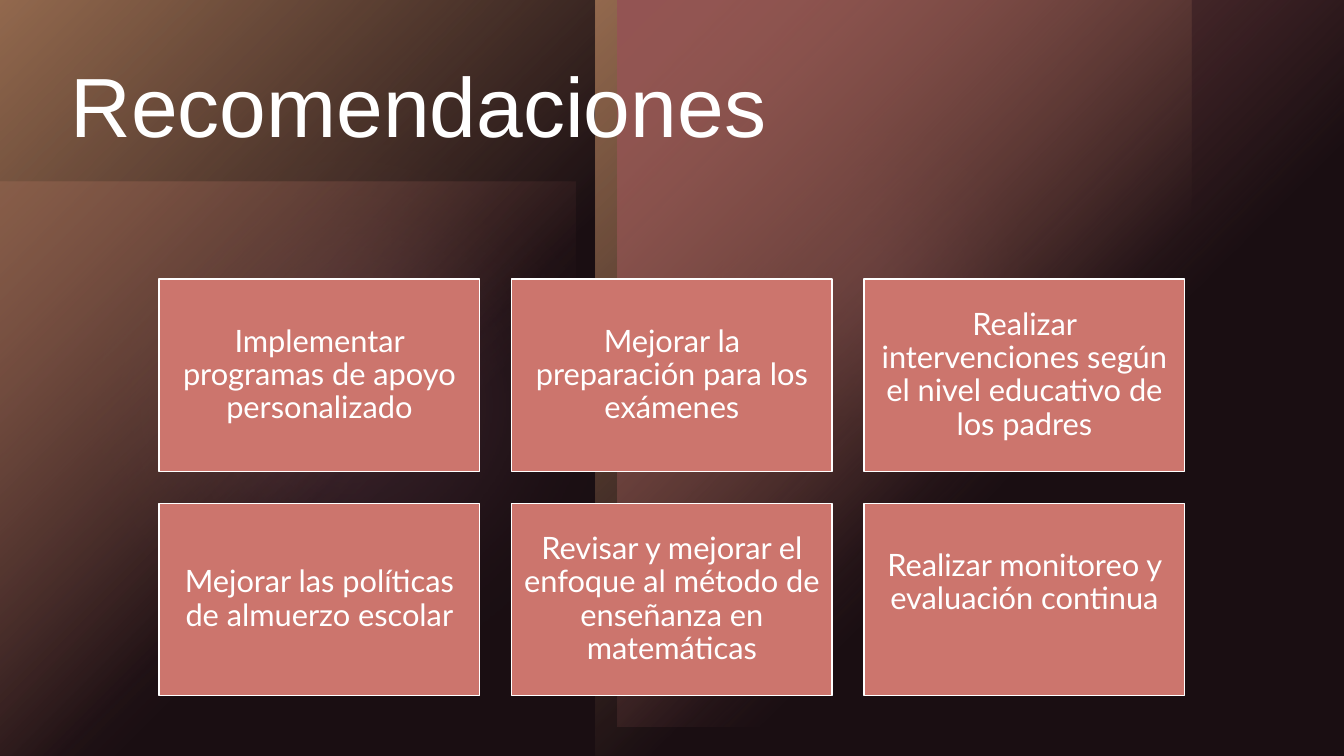
"""Build the "Recomendaciones" slide: a glowing backdrop and a grid of six cards."""
from lxml.etree import SubElement
from pptx import Presentation
from pptx.dml.color import RGBColor
from pptx.enum.shapes import MSO_SHAPE
from pptx.enum.text import MSO_ANCHOR, PP_ALIGN
from pptx.oxml import parse_xml
from pptx.oxml.ns import nsdecls, qn
from pptx.util import Pt

BLACK = RGBColor(0x00, 0x00, 0x00)
WHITE = RGBColor(0xFF, 0xFF, 0xFF)
CORAL = RGBColor(0xCC, 0x75, 0x6D)
SAND = RGBColor(0xC9, 0x97, 0x63)
PINK = RGBColor(0xD5, 0x87, 0xA1)
PLUM = RGBColor(0x41, 0x24, 0x2E)
WIDTH, HEIGHT = 960, 540

deck = Presentation()
deck.slide_width, deck.slide_height = Pt(WIDTH), Pt(HEIGHT)
page = deck.slides.add_slide(deck.slide_layouts[6])
page.background.fill.solid()
page.background.fill.fore_color.rgb = BLACK


def add_plain(kind, left, top, width, height, color, opacity=100):
    shape = page.shapes.add_shape(kind, Pt(left), Pt(top), Pt(width), Pt(height))
    shape.shadow.inherit = False
    shape.line.fill.background()
    shape.fill.solid()
    shape.fill.fore_color.rgb = color
    if opacity < 100:
        solid = shape.fill._xPr.find(qn("a:solidFill"))
        SubElement(solid[0], qn("a:alpha"), val=str(opacity * 1000))
    return shape


def add_corner_glow(left, top, width, height, color, opacity=100):
    shape = add_plain(MSO_SHAPE.RECTANGLE, left, top, width, height, color)
    properties = shape.fill._xPr
    gradient = parse_xml(
        f'<a:gradFill {nsdecls("a")} rotWithShape="1"><a:gsLst>'
        f'<a:gs pos="0"><a:srgbClr val="{color}"><a:alpha val="{opacity * 1000}"/></a:srgbClr></a:gs>'
        f'<a:gs pos="60000"><a:srgbClr val="{color}"><a:alpha val="0"/></a:srgbClr></a:gs>'
        '</a:gsLst><a:path path="circle"><a:fillToRect r="100000" b="100000"/></a:path></a:gradFill>')
    properties.replace(properties.find(qn("a:solidFill")), gradient)


add_corner_glow(0, 129.5, 411, 411, CORAL, 60)
for left, top, size, opacity in [(453, 31, 340, 60), (0, 40, 500, 20)]:
    halo = add_plain(MSO_SHAPE.OVAL, left, top, size, size, PINK, opacity)
    effects = halo.fill._xPr.find(qn("a:effectLst"))
    SubElement(effects, qn("a:softEdge"), rad=str(Pt(100)))
for left in (0, 425.5):
    add_corner_glow(left, 0, 425.5, HEIGHT, SAND)
add_corner_glow(441, 0, 519, 519, CORAL)
add_plain(MSO_SHAPE.RECTANGLE, 0, 0, WIDTH, HEIGHT, PLUM, 40)

title = page.shapes.add_textbox(Pt(43.2), Pt(42.5), Pt(872), Pt(142.5))
title.text_frame.word_wrap = True
para = title.text_frame.paragraphs[0]
para.text = "Recomendaciones"
para.line_spacing = 0.9
para.font.name = "Arial"
para.font.size = Pt(60)
para.font.color.rgb = WHITE

RECOMMENDATIONS = [
    "Implementar programas de apoyo personalizado",
    "Mejorar la preparación para los exámenes",
    "Realizar intervenciones según el nivel educativo de los padres",
    "Mejorar las políticas de almuerzo escolar",
    "Revisar y mejorar el enfoque al método de enseñanza en matemáticas",
    "Realizar monitoreo y evaluación continua",
]
COLUMNS = 3
CARD_WIDTH, CARD_HEIGHT, GAP = 229, 137.4, 22.8
GRID_LEFT, GRID_TOP = 113.6, 199.4
INSET, LINE_HEIGHT = 6.6, 23.8

for index, text in enumerate(RECOMMENDATIONS):
    row, column = divmod(index, COLUMNS)
    card = add_plain(MSO_SHAPE.RECTANGLE,
                     GRID_LEFT + column * (CARD_WIDTH + GAP),
                     GRID_TOP + row * (CARD_HEIGHT + GAP),
                     CARD_WIDTH, CARD_HEIGHT, CORAL)
    card.line.color.rgb = WHITE
    card.line.width = Pt(1)
    frame = card.text_frame
    frame.word_wrap = True
    frame.vertical_anchor = MSO_ANCHOR.MIDDLE
    frame.margin_left = frame.margin_right = frame.margin_top = frame.margin_bottom = Pt(INSET)
    para = frame.paragraphs[0]
    para.text = text
    para.alignment = PP_ALIGN.CENTER
    para.line_spacing = 0.9
    para.font.name = "Lato"
    para.font.size = Pt(22)
    para.font.color.rgb = WHITE

frame.margin_bottom = Pt(INSET + LINE_HEIGHT)

deck.save("out.pptx")
